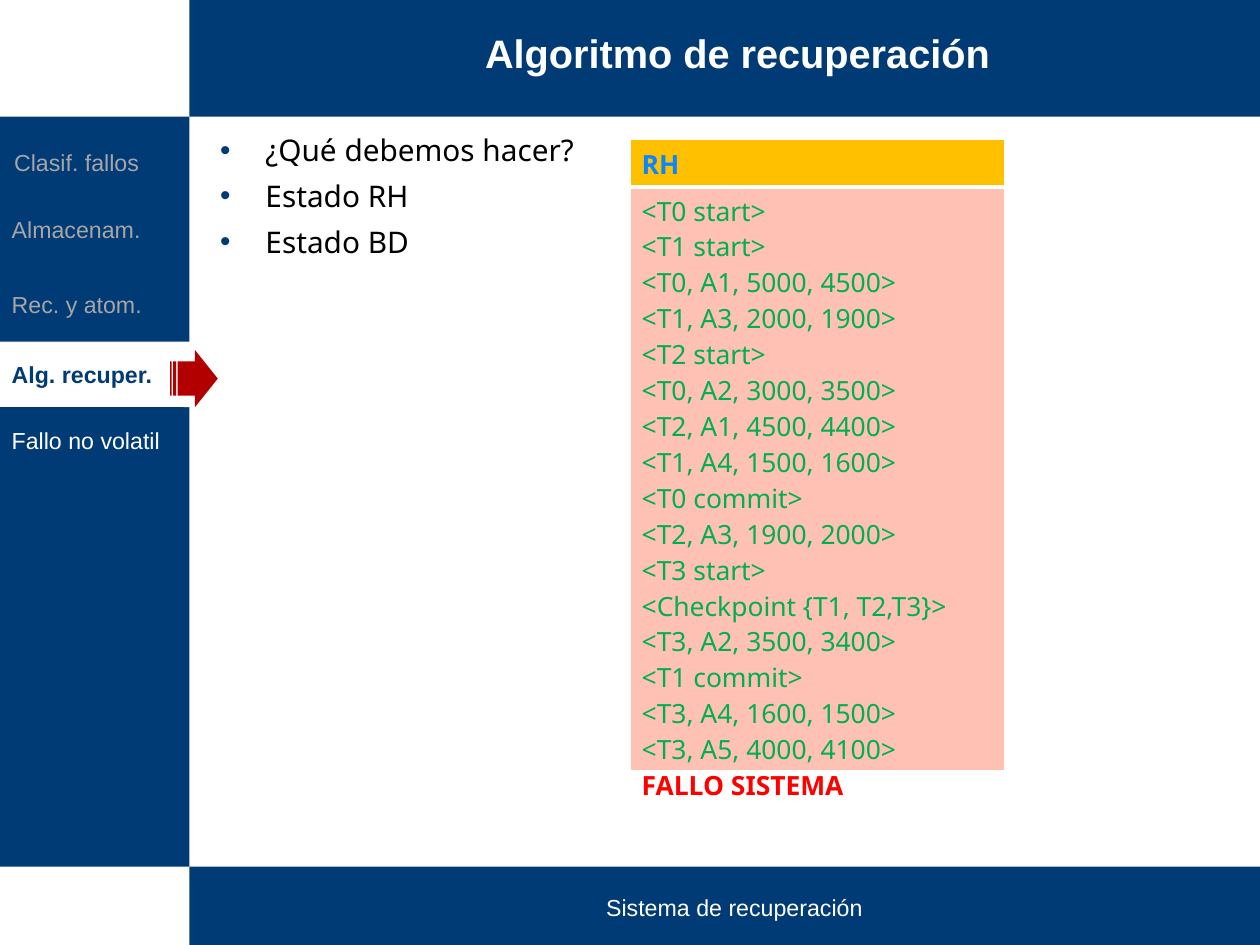
from pptx import Presentation
from pptx.dml.color import RGBColor
from pptx.enum.shapes import MSO_SHAPE as Preset
from pptx.enum.text import MSO_ANCHOR as Anchor, MSO_AUTO_SIZE as AutoSize, PP_ALIGN as Align
from pptx.oxml import parse_xml
from pptx.oxml.ns import nsdecls
from pptx.util import Inches, Pt

NAVY = RGBColor(0x00, 0x3B, 0x76)
WHITE = RGBColor(0xFF, 0xFF, 0xFF)
BLACK = RGBColor(0x00, 0x00, 0x00)
GREY = RGBColor(0xA6, 0xA6, 0xA6)
DARK_RED = RGBColor(0xB2, 0x00, 0x00)
RED = RGBColor(0xFF, 0x00, 0x00)
GREEN = RGBColor(0x00, 0xB0, 0x50)
BLUE = RGBColor(0x0A, 0x85, 0xFF)
AMBER = RGBColor(0xFF, 0xC0, 0x00)
PINK = RGBColor(0xFF, 0xC1, 0xB3)

WIDTH, HEIGHT = 127 / 12, 127 / 16
SIDE, TOP, FOOT = 1.59, 0.98, 7.28

TITLE = "Algoritmo de recuperación"
FOOTER = "Sistema de recuperación"
BULLETS = ["¿Qué debemos hacer?", "Estado RH", "Estado BD"]
MENU = [
    ("Clasif. fallos", (0.02, 1.13, 1.52, 0.47), NAVY, GREY, False),
    ("Almacenam.", (0, 1.61, 1.54, 0.63), NAVY, GREY, False),
    ("Rec. y atom.", (0, 2.24, 1.54, 0.63), NAVY, GREY, False),
    ("Alg. recuper.", (0, 2.87, 1.75, 0.55), WHITE, NAVY, True),
    ("Fallo no volatil", (0, 3.42, 1.54, 0.55), NAVY, WHITE, False),
]
LOG_HEADER = "RH"
LOG = [
    "<T0 start>",
    "<T1 start>",
    "<T0, A1, 5000, 4500>",
    "<T1, A3, 2000, 1900>",
    "<T2 start>",
    "<T0, A2, 3000, 3500>",
    "<T2, A1, 4500, 4400>",
    "<T1, A4, 1500, 1600>",
    "<T0 commit>",
    "<T2, A3, 1900, 2000>",
    "<T3 start>",
    "<Checkpoint {T1, T2,T3}>",
    "<T3, A2, 3500, 3400>",
    "<T1 commit>",
    "<T3, A4, 1600, 1500>",
    "<T3, A5, 4000, 4100>",
]
FAILURE = "FALLO SISTEMA"


def inches(box):
    return [Inches(value) for value in box]


def set_all(target, values):
    for name, value in values.items():
        setattr(target, name, value)


def write(para, text, color, size, font="Arial", bold=False, **layout):
    span = para.add_run()
    span.text = text
    set_all(span.font, {"name": font, "size": Pt(size), "bold": bold})
    span.font.color.rgb = color
    set_all(para, layout)


def add_block(page, box, fill, preset=Preset.RECTANGLE):
    block = page.shapes.add_shape(preset, *inches(box))
    block.shadow.inherit = False
    block.fill.solid()
    block.fill.fore_color.rgb = fill
    block.line.fill.background()
    return block


def place(shape, box, anchor):
    names = ("left", "top", "width", "height")
    set_all(shape, dict(zip(names, inches(box))))
    set_all(shape.text_frame, {
        "word_wrap": True, "auto_size": AutoSize.NONE, "vertical_anchor": anchor,
        "margin_left": Inches(0.1), "margin_right": Inches(0.1),
        "margin_top": Inches(0.05), "margin_bottom": Inches(0.05)})
    shape.element.getparent().append(shape.element)


def add_menu(page):
    for text, box, fill, color, bold in MENU:
        entry = add_block(page, box, fill)
        set_all(entry.text_frame, {"word_wrap": True, "vertical_anchor": Anchor.MIDDLE})
        write(entry.text_frame.paragraphs[0], text, color, 14, bold=bold, alignment=Align.LEFT)
    arrow = add_block(page, (1.43, 2.94, 0.4, 0.48), DARK_RED, Preset.STRIPED_RIGHT_ARROW)
    arrow.adjustments[0] = 0.6
    arrow.adjustments[1] = 0.48


def add_log(page):
    table = page.shapes.add_table(2, 1, *inches((5.29, 1.17, 3.15, 5.3))).table
    table.rows[0].height = Inches(0.4)
    table.rows[1].height = Inches(4.9)
    borders = ({"L": 1, "R": 1, "T": 1, "B": 3}, {"L": 1, "R": 1, "T": 3, "B": 1})
    for row, fill in enumerate((AMBER, PINK)):
        cell = table.cell(row, 0)
        properties = cell._tc.get_or_add_tcPr()
        for side, points in borders[row].items():
            properties.append(parse_xml(
                f'<a:ln{side} {nsdecls("a")} w="{Pt(points)}"><a:solidFill>'
                f'<a:srgbClr val="{WHITE}"/></a:solidFill></a:ln{side}>'))
        cell.fill.solid()
        cell.fill.fore_color.rgb = fill
    header, entries = table.cell(0, 0), table.cell(1, 0)
    header.vertical_anchor = Anchor.BOTTOM
    write(header.text_frame.paragraphs[0], LOG_HEADER, BLUE, 16,
          "Noto Sans", True, line_spacing=0.85)
    entries.margin_bottom = Inches(-0.29)
    frame = entries.text_frame
    for index, entry in enumerate(LOG):
        para = frame.add_paragraph() if index else frame.paragraphs[0]
        write(para, entry, GREEN, 16, "Noto Sans")
    write(frame.add_paragraph(), FAILURE, RED, 16, "Noto Sans", True)


def add_bullets(body):
    place(body, (1.75, 1.06, 8.58, 3.86), Anchor.TOP)
    frame = body.text_frame
    for index, text in enumerate(BULLETS):
        para = frame.add_paragraph() if index else frame.paragraphs[0]
        write(para, text, BLACK, 18, "Noto Sans", space_before=Pt(6))
        properties = para._p.get_or_add_pPr()
        properties.set("marL", str(Inches(0.38)))
        properties.set("indent", str(-Inches(0.38)))
        for xml in (f'<a:buClr {nsdecls("a")}><a:srgbClr val="{NAVY}"/></a:buClr>',
                    f'<a:buFont {nsdecls("a")} typeface="Arial"/>',
                    f'<a:buChar {nsdecls("a")} char="•"/>'):
            properties.append(parse_xml(xml))


def main():
    deck = Presentation()
    set_all(deck, {"slide_width": Inches(WIDTH), "slide_height": Inches(HEIGHT)})
    page = deck.slides.add_slide(deck.slide_layouts[1])
    title, body = page.placeholders

    for band in ((SIDE, FOOT, WIDTH - SIDE, HEIGHT - FOOT),
                 (0, TOP, SIDE, FOOT - TOP),
                 (SIDE, 0, WIDTH - SIDE, TOP)):
        add_block(page, band, NAVY)

    footer_box = (1.75, 7.41, 8.84, 0.38)
    footer = page.shapes.add_textbox(*inches(footer_box))
    place(footer, footer_box, Anchor.BOTTOM)
    write(footer.text_frame.paragraphs[0], FOOTER, WHITE, 14,
          alignment=Align.CENTER, line_spacing=1.15)

    place(title, (1.74, 0.19, 8.91, 0.57), Anchor.MIDDLE)
    write(title.text_frame.paragraphs[0], TITLE, WHITE, 24, bold=True,
          alignment=Align.CENTER, line_spacing=0.85)

    add_menu(page)
    add_log(page)
    add_bullets(body)
    deck.save("out.pptx")


if __name__ == "__main__":
    main()
